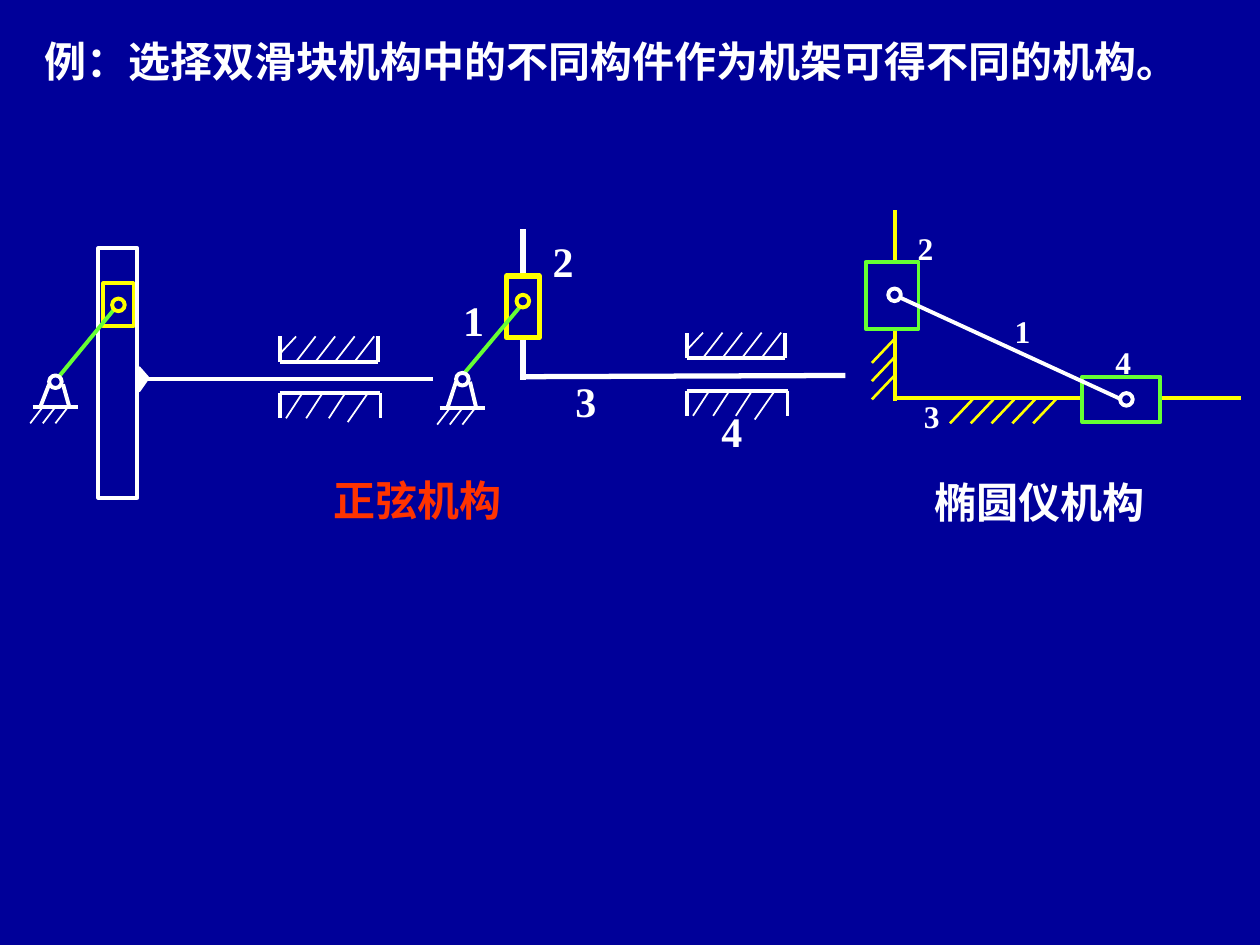
from dataclasses import dataclass

from lxml.etree import SubElement
from pptx import Presentation
from pptx.dml.color import RGBColor
from pptx.enum.shapes import MSO_CONNECTOR, MSO_SHAPE
from pptx.enum.text import MSO_ANCHOR, MSO_AUTO_SIZE, PP_ALIGN
from pptx.oxml.ns import qn
from pptx.util import Inches, Pt


@dataclass(frozen=True)
class Theme:
    back: str = "000099"
    white: str = "FFFFFF"
    yellow: str = "FFFF00"
    green: str = "66FF33"
    red: str = "FF3300"
    latin: str = "Times New Roman"
    asian: str = "Noto Sans CJK SC"
    large: float = 24
    small: float = 18
    bold: float = 3
    main: float = 2.25
    mid: float = 1.5
    thin: float = 1


LOOK = Theme()


def apply(item, values):
    for name, value in values.items():
        setattr(item, name, value)


def color(code):
    return RGBColor.from_string(code)


def fill(item, code):
    item.fill.solid()
    item.fill.fore_color.rgb = color(code)


def trace(item, code, width):
    item.line.color.rgb = color(code)
    item.line.width = Pt(width)


def line(pen, start, end, code=LOOK.white, width=LOOK.main):
    ends = [Inches(n) for n in (*start, *end)]
    item = pen.add_connector(MSO_CONNECTOR.STRAIGHT, *ends)
    trace(item, code, width)
    SubElement(item._element.spPr, qn("a:effectLst"))


def shape(pen, kind, area, code, solid=True, width=LOOK.main):
    item = pen.add_shape(kind, *[Inches(n) for n in area])
    item.shadow.inherit = False
    if solid:
        fill(item, LOOK.back)
    else:
        item.fill.background()
    trace(item, code, width)


def block(pen, area, code, **style):
    shape(pen, MSO_SHAPE.RECTANGLE, area, code, **style)


def pin(pen, x, y, code=LOOK.white):
    """Draw a round joint centred on x, y."""
    shape(pen, MSO_SHAPE.OVAL, (x - 0.05, y - 0.05, 0.1, 0.1), code)


def write(box, area, text, size=LOOK.large, code=LOOK.white,
          face=LOOK.latin, align=PP_ALIGN.CENTER, wrap=True):
    left, top, width, height = [Inches(n) for n in area]
    apply(box, {"left": left, "top": top, "width": width, "height": height})
    frame = box.text_frame
    apply(frame, {
        "word_wrap": wrap, "auto_size": MSO_AUTO_SIZE.NONE,
        "vertical_anchor": MSO_ANCHOR.TOP,
        "margin_left": Inches(0.1), "margin_right": Inches(0.1),
        "margin_top": Inches(0.05), "margin_bottom": Inches(0.05),
    })
    para = frame.paragraphs[0]
    para.alignment = align
    run = para.add_run()
    run.text = text
    apply(run.font, {"name": face, "size": Pt(size), "bold": True})
    run.font.color.rgb = color(code)
    SubElement(run._r.get_or_add_rPr(), qn("a:ea"), typeface=LOOK.asian)


def label(pen, area, text, **style):
    write(pen.add_textbox(0, 0, 0, 0), area, text, **style)


def digits(pen, spots, span, size):
    for text, spot in spots.items():
        label(pen, (*spot, *span), text, size=size, wrap=False)


def guide(pen, x, top, low):
    """Draw the hatched fixed walls above and below a sliding rod."""
    for y, length, rise in ((top, 0.78, -0.2), (low, 0.8, 0.2)):
        line(pen, (x, y), (x + length, y))
        for side in (x, x + length):
            line(pen, (side, y), (side, y + rise))
    line(pen, (x, top - 0.06), (x + 0.13, top - 0.2), width=LOOK.thin)
    for i in range(4):
        left = x + 0.13 + 0.155 * i
        line(pen, (left, top), (left + 0.155, top - 0.2), width=LOOK.thin)
    for step, run, drop in ((0.18, 0.13, 0.2), (0.34, 0.13, 0.2),
                            (0.52, 0.13, 0.2), (0.7, 0.16, 0.23)):
        line(pen, (x + step, low), (x + step - run, low + drop),
             width=LOOK.thin)


def pivot(pen, x, y, base):
    """Draw a joint standing on hatched ground."""
    pin(pen, x, y)
    line(pen, (x - 0.18, base), (x + 0.18, base))
    for top, foot in ((-0.05, -0.12), (0.06, 0.11)):
        line(pen, (x + top, y + 0.02), (x + foot, base))
    for i in range(3):
        left = x - 0.1 + 0.1 * i
        line(pen, (left, base), (left - 0.1, base + 0.13), width=LOOK.thin)


def ellipse(pen):
    """Draw the ellipse trammel with two sliders on fixed axes."""
    line(pen, (7.1, 3.18), (7.1, 1.67), LOOK.yellow)
    line(pen, (7.09, 3.16), (9.85, 3.16), LOOK.yellow)
    floor = [(7.72 + 0.165 * i, 3.17) for i in range(5)]
    wall = [(7.1, 2.69 + 0.145 * i) for i in range(3)]
    for x, y in floor + wall:
        line(pen, (x, y), (x - 0.18, y + 0.19), LOOK.yellow, LOOK.mid)
    block(pen, (6.87, 2.08, 0.42, 0.53), LOOK.green)
    block(pen, (8.59, 2.99, 0.62, 0.36), LOOK.green)
    pin(pen, 8.94, 3.17)
    pin(pen, 7.1, 2.34)
    line(pen, (7.14, 2.36), (8.9, 3.17))
    spots = {"1": (7.94, 2.43), "2": (7.17, 1.77),
             "3": (7.22, 3.1), "4": (8.74, 2.67)}
    digits(pen, spots, (0.35, 0.4), LOOK.small)


def slot(pen):
    """Draw the sine mechanism with a slotted frame."""
    block(pen, (0.78, 1.97, 0.31, 1.98), LOOK.white, solid=False)
    line(pen, (1.1, 3.01), (3.44, 3.01))
    path = pen.build_freeform(Inches(1.1), Inches(2.92))
    path.add_line_segments([(Inches(1.17), Inches(3)),
                            (Inches(1.1), Inches(3.1))])
    wedge = path.convert_to_shape()
    wedge.shadow.inherit = False
    fill(wedge, LOOK.white)
    trace(wedge, LOOK.white, LOOK.main)
    guide(pen, 2.22, 2.87, 3.12)
    block(pen, (0.82, 2.25, 0.24, 0.34), LOOK.yellow, solid=False)
    line(pen, (0.45, 3.01), (0.91, 2.45), LOOK.green)
    pin(pen, 0.94, 2.42, LOOK.yellow)
    pivot(pen, 0.44, 3.03, 3.23)


def sine(pen):
    """Draw the sine mechanism with a slider on a rod."""
    line(pen, (4.15, 1.82), (4.15, 3.02), width=LOOK.bold)
    block(pen, (4.02, 2.19, 0.26, 0.49), LOOK.yellow, width=LOOK.bold)
    line(pen, (3.67, 2.98), (4.14, 2.42), LOOK.green)
    pin(pen, 4.15, 2.39, LOOK.yellow)
    line(pen, (4.15, 2.99), (6.71, 2.98), width=LOOK.bold)
    guide(pen, 5.45, 2.84, 3.1)
    spots = {"1": (3.58, 2.29), "2": (4.29, 1.82),
             "3": (4.47, 2.93), "4": (5.63, 3.17)}
    digits(pen, spots, (0.36, 0.5), LOOK.large)
    pivot(pen, 3.67, 3.01, 3.24)


def main():
    deck = Presentation()
    apply(deck, {"slide_width": Inches(10), "slide_height": Inches(7.5)})
    slide = deck.slides.add_slide(deck.slide_layouts[5])
    fill(slide.background, LOOK.back)
    write(slide.shapes.title, (0.25, 0.23, 9.43, 0.5),
          "例：选择双滑块机构中的不同构件作为机架可得不同的机构。",
          face=LOOK.asian, align=PP_ALIGN.JUSTIFY)
    label(slide.shapes, (7.13, 3.73, 2.24, 0.5), "椭圆仪机构")
    label(slide.shapes, (2.36, 3.72, 1.91, 0.5), "正弦机构", code=LOOK.red)
    for draw in (ellipse, slot, sine):
        draw(slide.shapes.add_group_shape().shapes)
    deck.save("out.pptx")


if __name__ == "__main__":
    main()
